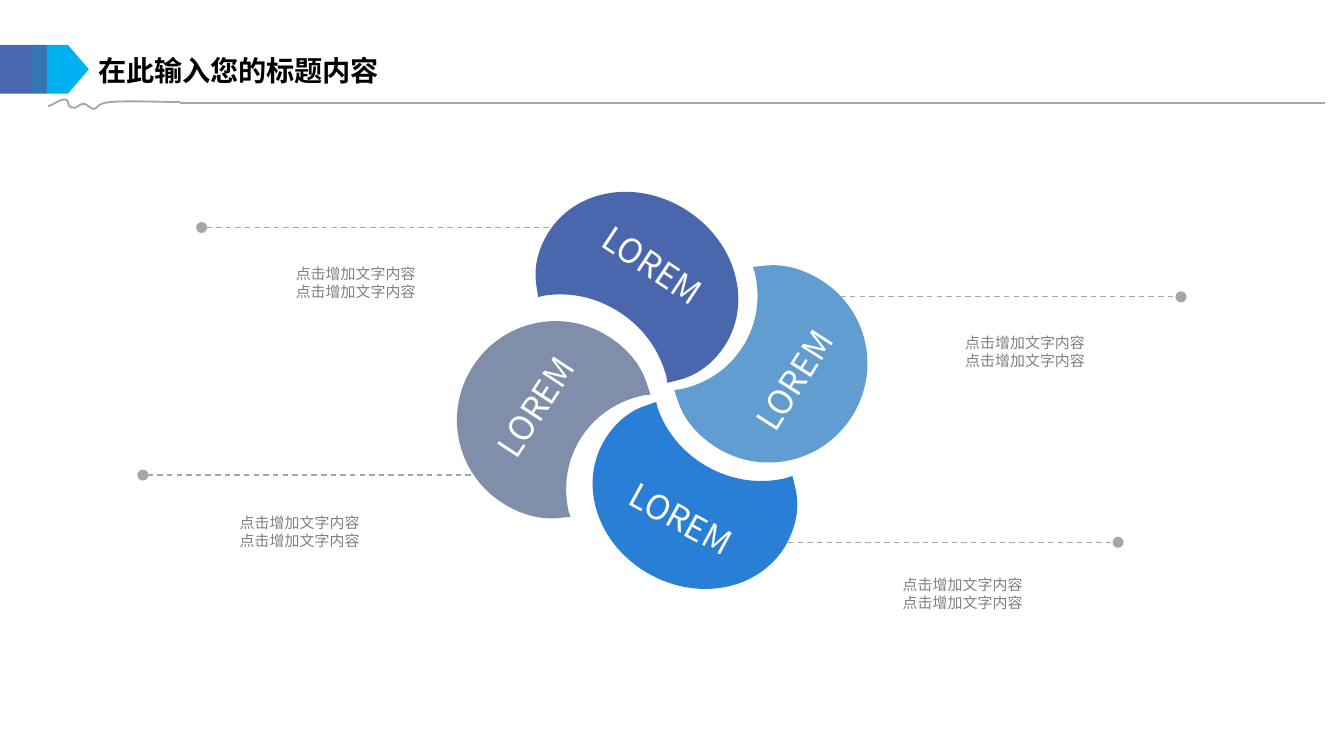
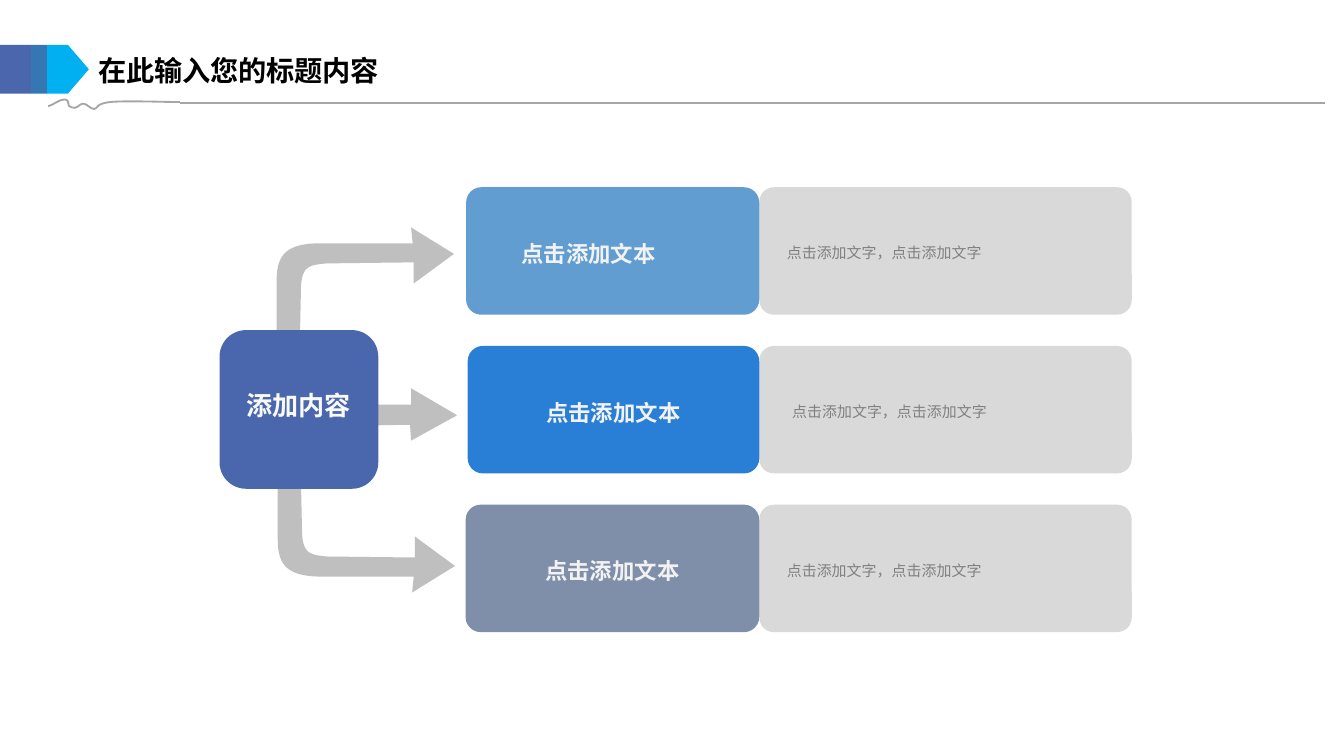
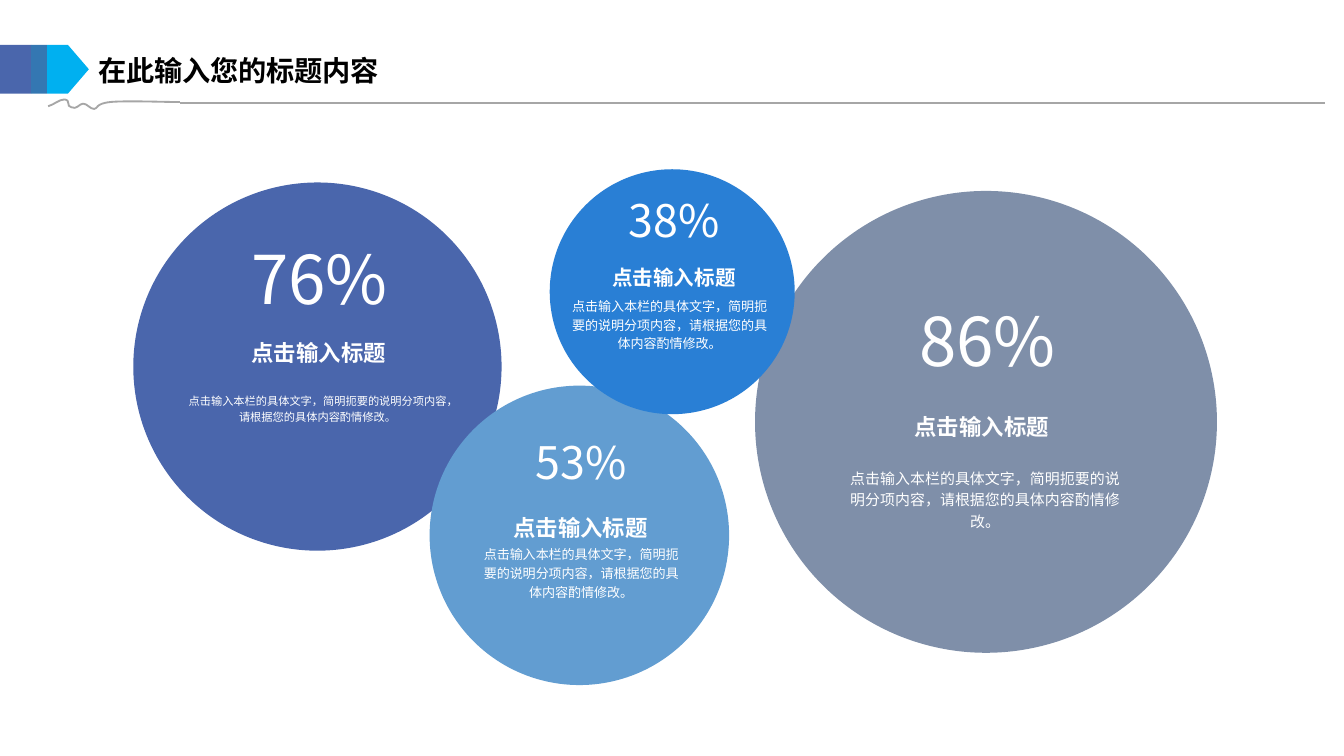
from dataclasses import dataclass

from lxml.etree import SubElement
from pptx import Presentation
from pptx.dml.color import RGBColor
from pptx.enum.dml import MSO_LINE
from pptx.enum.shapes import MSO_CONNECTOR, MSO_SHAPE
from pptx.enum.text import MSO_ANCHOR, MSO_AUTO_SIZE, PP_ALIGN
from pptx.oxml.ns import qn
from pptx.util import Cm, Pt


@dataclass(frozen=True)
class Theme:
    font: str = "Noto Sans CJK SC"
    # Colours
    indigo: str = "4A66AC"
    sky: str = "629DD1"
    blue: str = "297FD5"
    slate: str = "7F8FA9"
    teal: str = "3477B2"
    cyan: str = "00B0F0"
    rule: str = "A6A6A6"
    arrow: str = "BFBFBF"
    panel: str = "D9D9D9"
    muted: str = "808080"
    black: str = "000000"
    white: str = "FFFFFF"
    soft_white: str = "F2F2F2"
    hub_white: str = "F9F9F9"
    # Type sizes
    title: float = 15.05
    petal: int = 18
    hub: int = 14
    heading: int = 12
    body: int = 8


THEME = Theme()
NO_INSETS = (0, 0, 0, 0)
SMALL_INSETS = (0.18, 0.1, 0.18, 0.1)
TEXT_INSETS = (0.25, 0.13, 0.25, 0.13)

# Outlines in cm: one point is a straight step, three points are a Bézier curve
WAVE_START = (0.91, 2.01)
WAVE = [
    ((1.02, 1.98), (1.12, 1.88), (1.22, 1.88)),
    ((1.35, 1.9), (1.24, 2.01), (1.35, 2.03)),
    ((1.45, 2.08), (1.5, 1.96), (1.57, 1.96)),
    ((1.65, 1.96), (1.7, 2.06), (1.78, 2.06)),
    ((1.85, 2.06), (1.8, 1.96), (2.08, 1.93)),
    ((2.36, 1.9), (3.12, 1.93), (3.4, 1.93)),
]
ELBOW_START = (0.41, 0)
ELBOW = [
    ((0.46, 2.34),),
    ((0.48, 2.74), (0.64, 2.74), (0.94, 2.77)),
    ((2.59, 2.79),), ((2.59, 2.39),), ((3.35, 2.95),),
    ((2.54, 3.45),), ((2.57, 3.15),),
    ((2.57, 3.15), (1.45, 3.15), (0.84, 3.15)),
    ((0.2, 3.15), (0, 2.95), (0, 2.46)),
    ((0, -0.05),),
    ((0.08, -0.46), (0.33, -0.41), ELBOW_START),
]
STRAIGHT_START = (4.65, 8.08)
STRAIGHT_ARROW = [
    ((7.75, 8.03),), ((7.77, 8.33),), ((8.64, 7.85),),
    ((7.77, 7.34),), ((7.77, 7.65),), ((4.65, 7.65),),
]
# A petal as fractions of its width and height
PETAL_START = (0.4, 0)
PETAL = [
    ((0.73, 0), (1, 0.22), (1, 0.5)),
    ((1, 0.78), (0.73, 1), (0.4, 1)),
    ((0.27, 1), (0.15, 0.97), (0.06, 0.91)),
    ((0, 0.87),), ((0.03, 0.85),),
    ((0.14, 0.76), (0.21, 0.64), (0.21, 0.5)),
    ((0.21, 0.36), (0.14, 0.24), (0.03, 0.15)),
    ((0, 0.13),), ((0.06, 0.09),),
    ((0.15, 0.03), (0.27, 0), PETAL_START),
]


# Basic elements
def color(value):
    return RGBColor.from_string(value)


def paint(shape, fill=None, line=None):
    shape.shadow.inherit = False
    if fill:
        shape.fill.solid()
        shape.fill.fore_color.rgb = color(fill)
    else:
        shape.fill.background()
    if line:
        shape.line.color.rgb = color(line)
        shape.line.width = Pt(1)
    else:
        shape.line.fill.background()
    return shape


def add_block(slide, kind, box, fill):
    return paint(slide.shapes.add_shape(kind, *map(Cm, box)), fill)


def add_outline(slide, start, segments, fill=None, line=None, offset=(0, 0), scale=(1, 1)):
    def place(point):
        return tuple(Cm(o + s * value) for o, s, value in zip(offset, scale, point))

    builder = slide.shapes.build_freeform(*place(start))
    builder.add_line_segments(
        [place(point) for segment in segments for point in segment], close=fill is not None)
    shape = builder.convert_to_shape()
    # Merge each three steps of a curve into one Bézier segment
    steps = iter(list(shape._element.iter(qn("a:lnTo"))))
    for segment in segments:
        first, *others = [next(steps) for _ in segment]
        if others:
            first.tag = qn("a:cubicBezTo")
            for step in others:
                first.append(step[0])
                step.getparent().remove(step)
    return paint(shape, fill, line)


def add_line(slide, left, right, y, width, dot_end=None):
    connector = slide.shapes.add_connector(
        MSO_CONNECTOR.STRAIGHT, Cm(left), Cm(y), Cm(right), Cm(y))
    connector.line.color.rgb = color(THEME.rule)
    connector.line.width = Pt(width)
    if dot_end:
        connector.line.dash_style = MSO_LINE.DASH
        SubElement(connector.line._get_or_add_ln(), qn(f"a:{dot_end}"), type="oval")
    SubElement(connector._element.spPr, qn("a:effectLst"))


def write(shape, lines, size, ink, bold=False, align=PP_ALIGN.CENTER, spacing=None,
          insets=NO_INSETS, anchor=MSO_ANCHOR.MIDDLE, wrap=True):
    frame = shape.text_frame
    frame.word_wrap = wrap
    frame.vertical_anchor = anchor
    (frame.margin_left, frame.margin_top,
     frame.margin_right, frame.margin_bottom) = map(Cm, insets)
    frame.text = "\n".join(lines)
    for paragraph in frame.paragraphs:
        paragraph.alignment = align
        if spacing:
            paragraph.line_spacing = spacing
        font = paragraph.font
        font.size = Pt(size)
        font.bold = bold
        font.color.rgb = color(ink)
        font.name = THEME.font
        properties = paragraph._p.get_or_add_pPr().find(qn("a:defRPr"))
        SubElement(properties, qn("a:ea"), typeface=THEME.font)


def add_label(slide, box, lines, size, ink, fill=None, grow=True, **options):
    if fill:
        label = add_block(slide, MSO_SHAPE.RECTANGLE, box, fill)
    else:
        label = slide.shapes.add_textbox(*map(Cm, box))
    write(label, lines, size, ink, anchor=MSO_ANCHOR.TOP, **options)
    if grow:
        label.text_frame.auto_size = MSO_AUTO_SIZE.SHAPE_TO_FIT_TEXT


# Shared header
def add_header(slide, title):
    add_label(slide, (1.68, 0.91, 8.61, 0.81), [title], THEME.title, THEME.black,
              bold=True, align=PP_ALIGN.LEFT, insets=SMALL_INSETS)
    add_outline(slide, WAVE_START, WAVE, line=THEME.rule)
    add_line(slide, 3.4, 25.04, 1.94, 1)
    for kind, left, width, fill in (
        (MSO_SHAPE.RECTANGLE, 0, 0.59, THEME.indigo),
        (MSO_SHAPE.RECTANGLE, 0.59, 0.3, THEME.teal),
        (MSO_SHAPE.PENTAGON, 0.89, 0.79, THEME.cyan),
    ):
        add_block(slide, kind, (left, 0.85, width, 0.92), fill)


# Slide 1: pinwheel
def add_petal(slide, box, rotation, fill, direction, inset):
    petal = add_outline(slide, PETAL_START, PETAL, fill, offset=box[:2], scale=box[2:])
    petal.rotation = rotation
    write(petal, ["LOREM"], THEME.petal, THEME.white, insets=(inset, 0, 0, 0))
    petal.text_frame._txBody.bodyPr.set("vert", direction)


def build_pinwheel(slide):
    for left, right, y, dot_end in (
        (3.81, 10.44, 4.3, "headEnd"),
        (15.88, 22.32, 5.61, "tailEnd"),
        (2.7, 8.94, 8.98, "headEnd"),
        (14.71, 21.13, 10.25, "tailEnd"),
    ):
        add_line(slide, left, right, y, 0.75, dot_end)
    for box, rotation, fill, direction, inset in (
        ((10.74, 3.23, 2.92, 3.96), 303.6, THEME.indigo, "vert", 0.5),
        ((13.24, 5.18, 3.1, 3.73), 32.6, THEME.sky, "vert270", 0.5),
        ((11.53, 7.6, 2.92, 3.96), 118.5, THEME.blue, "vert270", 0.5),
        ((8.69, 5.9, 3.1, 3.73), 213.2, THEME.slate, "vert", 0.3),
    ):
        add_petal(slide, box, rotation, fill, direction, inset)
    for left, top, height in (
        (3.79, 4.88, 2.41), (2.73, 9.58, 2.9), (15.26, 10.75, 2.51), (16.44, 6.17, 2.9),
    ):
        add_label(slide, (left, top, 5.87, height), ["点击增加文字内容"] * 2,
                  THEME.body, THEME.muted, grow=False, insets=TEXT_INSETS)


# Slide 2: branches
def add_elbow_arrow(slide, left, direction):
    add_outline(slide, ELBOW_START, ELBOW, THEME.arrow,
                offset=(left, 7.75), scale=(1, direction))


def add_card(slide, box, fill, corner, text, size, ink, **options):
    card = add_block(slide, MSO_SHAPE.ROUNDED_RECTANGLE, box, fill)
    card.adjustments[0] = corner
    write(card, [text], size, ink, spacing=1.2, **options)


def build_branches(slide):
    add_elbow_arrow(slide, 5.25, 1)
    add_outline(slide, STRAIGHT_START, STRAIGHT_ARROW, THEME.arrow)
    add_elbow_arrow(slide, 5.23, -1)

    split, top, pitch, height = 14.35, 3.54, 3.0, 2.41
    rows = (
        (8.81, THEME.sky, PP_ALIGN.LEFT, 0.96, 0.44),
        (8.84, THEME.blue, PP_ALIGN.CENTER, 0.18, 0.54),
        (8.8, THEME.slate, PP_ALIGN.CENTER, 0.18, 0.44),
    )
    for index, (left, fill, align, heading_inset, detail_inset) in enumerate(rows):
        y = top + index * pitch
        add_card(slide, (split, y, 7.04, height), THEME.panel, 0.115,
                 "点击添加文字，点击添加文字", THEME.body, THEME.muted,
                 align=PP_ALIGN.LEFT, insets=(detail_inset, 0.1, 0.18, 0.1))
        add_card(slide, (left, y, split - left, height), fill, 0.119,
                 "点击添加文本", THEME.heading, THEME.soft_white, bold=True,
                 align=align, insets=(heading_inset, 0.1, 0.18, 0.1))
    add_card(slide, (4.15, 6.24, 3, 3), THEME.indigo, 0.167, "添加内容", THEME.hub,
             THEME.hub_white, bold=True, insets=(0.25, 0.1, 0.25, 0.38))


# Slide 3: bubbles
@dataclass(frozen=True)
class Bubble:
    left: float
    top: float
    diameter: float
    fill: str
    share: str
    share_box: tuple
    share_size: int
    heading_box: tuple
    heading_size: int
    body_box: tuple
    body_size: int
    filled_labels: bool = False


def add_bubble(slide, bubble):
    add_block(slide, MSO_SHAPE.OVAL,
              (bubble.left, bubble.top, bubble.diameter, bubble.diameter), bubble.fill)
    label_fill = bubble.fill if bubble.filled_labels else None
    add_label(slide, bubble.body_box,
              ["点击输入本栏的具体文字，简明扼要的说明分项内容，请根据您的具体内容酌情修改。"],
              bubble.body_size, THEME.white, label_fill, spacing=1.2)
    add_label(slide, bubble.share_box, [bubble.share], bubble.share_size, THEME.white,
              label_fill, wrap=False)
    add_label(slide, bubble.heading_box, ["点击输入标题"], bubble.heading_size,
              THEME.white, label_fill, bold=True, wrap=False)


def build_bubbles(slide):
    for bubble in (
        Bubble(14.27, 3.61, 8.73, THEME.slate, "86%", (17.34, 5.66, 2.64, 1.55), 36,
               (17.27, 7.81, 2.57, 0.51), 12, (15.93, 8.81, 5.38, 0.81), 8, True),
        Bubble(2.52, 3.45, 6.96, THEME.indigo, "76%", (4.72, 4.49, 2.64, 1.55), 36,
               (4.74, 6.41, 2.57, 0.51), 12, (3.5, 7.41, 5, 0.61), 6),
        Bubble(8.12, 7.29, 5.66, THEME.sky, "53%", (10.09, 8.21, 1.78, 1.02), 24,
               (9.69, 9.72, 2.57, 0.51), 12, (9.04, 10.28, 3.89, 1.07), 7),
        Bubble(10.39, 3.2, 4.63, THEME.blue, "38%", (11.85, 3.65, 1.78, 1.02), 24,
               (11.56, 5.01, 2.36, 0.48), 11, (10.8, 5.58, 3.71, 1.07), 7, True),
    ):
        add_bubble(slide, bubble)


def main():
    presentation = Presentation()
    presentation.slide_width = Cm(25.4)
    presentation.slide_height = Cm(14.29)
    blank = presentation.slide_layouts[6]
    for build in (build_pinwheel, build_branches, build_bubbles):
        slide = presentation.slides.add_slide(blank)
        build(slide)
        add_header(slide, "在此输入您的标题内容")
    presentation.save("out.pptx")


if __name__ == "__main__":
    main()
